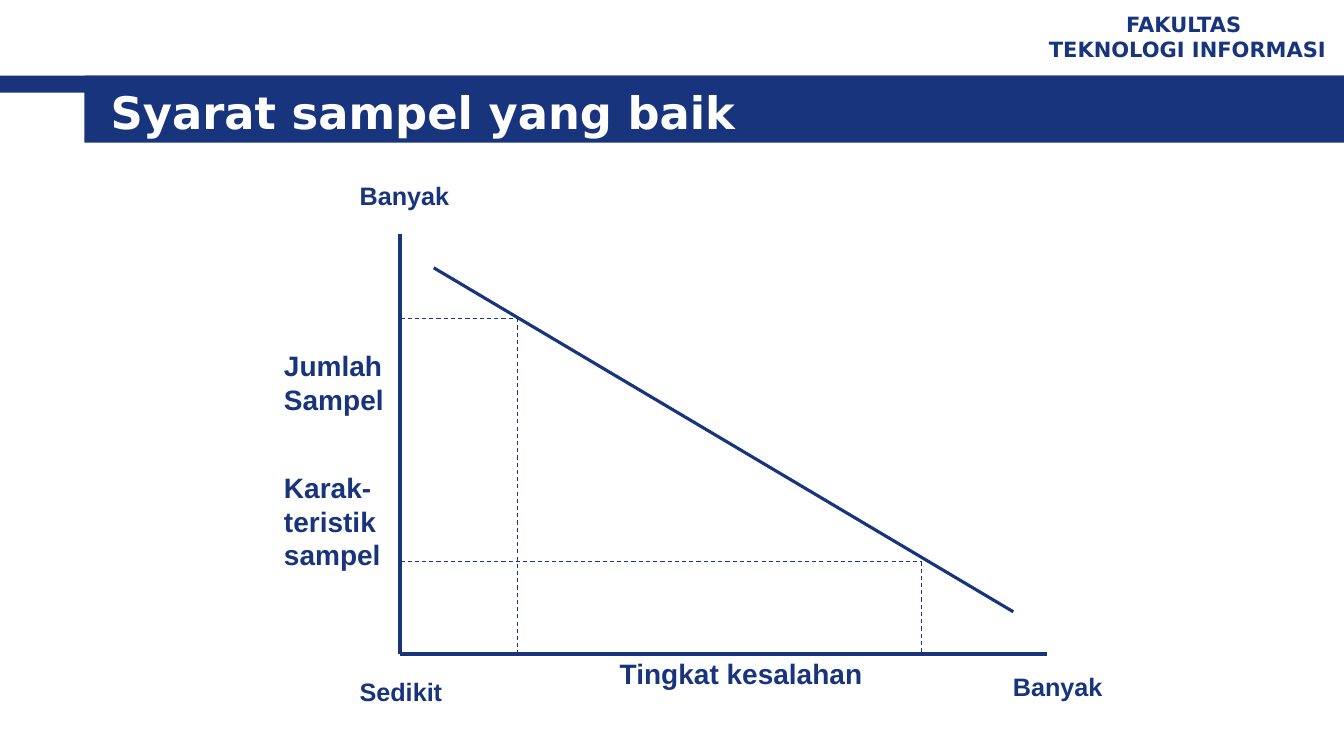
import pptx
import pptx.dml.color
import pptx.enum.dml
import pptx.enum.shapes
import pptx.enum.text
import pptx.oxml.ns
import pptx.util
from lxml import etree

Pt = pptx.util.Pt
NAVY = pptx.dml.color.RGBColor(0x17, 0x34, 0x7D)
WHITE = pptx.dml.color.RGBColor(0xFF, 0xFF, 0xFF)
ALIGN = pptx.enum.text.PP_ALIGN
ANCHOR = pptx.enum.text.MSO_ANCHOR


def add_band(slide, left, top, width, height):
    """Add a plain navy rectangle."""
    shape = slide.shapes.add_shape(
        pptx.enum.shapes.MSO_SHAPE.RECTANGLE, Pt(left), Pt(top), Pt(width), Pt(height))
    shape.shadow.inherit = False
    shape.fill.solid()
    shape.fill.fore_color.rgb = NAVY
    shape.line.fill.background()


def add_text(slide, box, lines, size, font="Arial", color=NAVY,
             align=ALIGN.LEFT, anchor=ANCHOR.TOP, wrap=False):
    """Add bold text with one paragraph per line."""
    shape = slide.shapes.add_textbox(*[Pt(length) for length in box])
    frame = shape.text_frame
    frame.word_wrap = wrap
    frame.vertical_anchor = anchor
    frame.text = "\n".join(lines)
    for paragraph in frame.paragraphs:
        paragraph.alignment = align
        paragraph.font.name = font
        paragraph.font.size = Pt(size)
        paragraph.font.bold = True
        paragraph.font.color.rgb = color


def add_line(slide, start, end, width, dashed=False):
    """Add a straight navy line between two points."""
    connector = slide.shapes.add_connector(
        pptx.enum.shapes.MSO_CONNECTOR.STRAIGHT, *[Pt(length) for length in start + end])
    connector.line.color.rgb = NAVY
    connector.line.width = Pt(width)
    if dashed:
        connector.line.dash_style = pptx.enum.dml.MSO_LINE.DASH
    etree.SubElement(connector._element.spPr, pptx.oxml.ns.qn("a:effectLst"))


def add_header(slide):
    """Add the navy bands, the faculty name and the title."""
    add_band(slide, 0, 54, 960, 12.24)
    add_band(slide, 60.2, 54, 899.8, 48)
    add_text(slide, (736.6, 3.6, 223.2, 44.6), ["FAKULTAS ", "TEKNOLOGI INFORMASI"], 15,
             "DejaVu Sans", align=ALIGN.CENTER, anchor=ANCHOR.MIDDLE)
    add_text(slide, (72, 57.6, 856, 44.6), ["Syarat sampel yang baik"], 32,
             "DejaVu Sans", WHITE, anchor=ANCHOR.MIDDLE, wrap=True)


def add_diagram(slide):
    """Add the axes, the falling line, its guides and the labels."""
    origin_x, origin_y = 286, 467.3
    add_line(slide, (origin_x, 167.2), (origin_x, origin_y), 3)
    add_line(slide, (origin_x, origin_y), (748, origin_y), 3)
    add_line(slide, (309.8, 191.3), (723.8, 437), 2.25)
    for x, y in [(370, 227.3), (658, 401)]:
        add_line(slide, (origin_x, y), (x, y), 0.75, True)
        add_line(slide, (x, y), (x, origin_y), 0.75, True)

    labels = [
        ((195.8, 245.5, 90.7, 55.4), ["Jumlah ", "Sampel"], 20),
        ((195.8, 332.6, 84.2, 79.9), ["Karak-", "teristik", "sampel"], 20),
        ((435.6, 465.3, 189.4, 31.7), ["Tingkat kesalahan"], 20),
        ((249.8, 125.3, 84.2, 28.8), ["Banyak "], 18),
        ((249.8, 479.5, 79.2, 28.8), ["Sedikit "], 18),
        ((716.4, 475.9, 84.2, 28.8), ["Banyak "], 18),
    ]
    for box, lines, size in labels:
        add_text(slide, box, lines, size)


def main():
    """Build and save the slide."""
    presentation = pptx.Presentation()
    presentation.slide_width = Pt(960)
    presentation.slide_height = Pt(540)
    slide = presentation.slides.add_slide(presentation.slide_layouts[6])
    add_header(slide)
    add_diagram(slide)
    presentation.save("out.pptx")


main()
